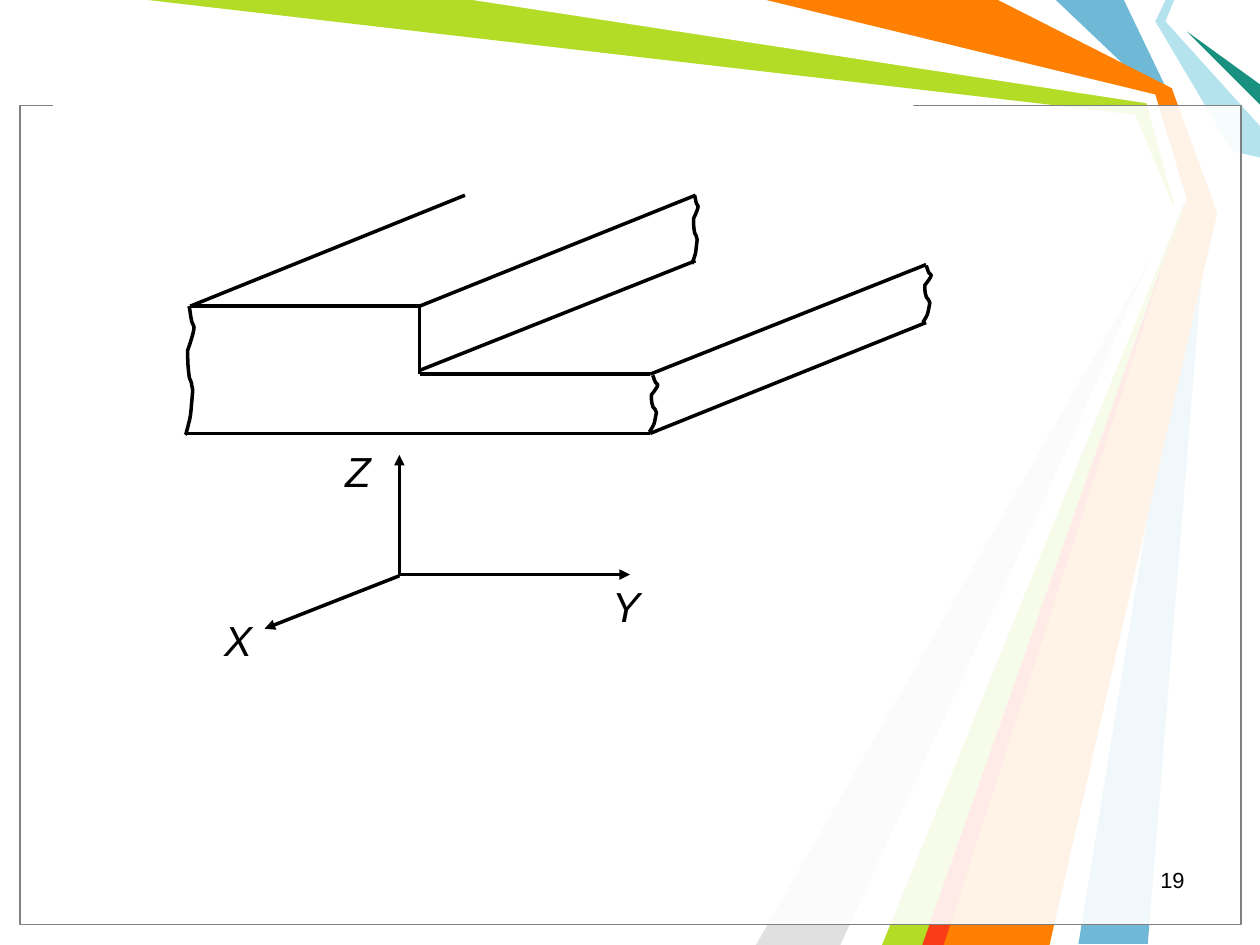
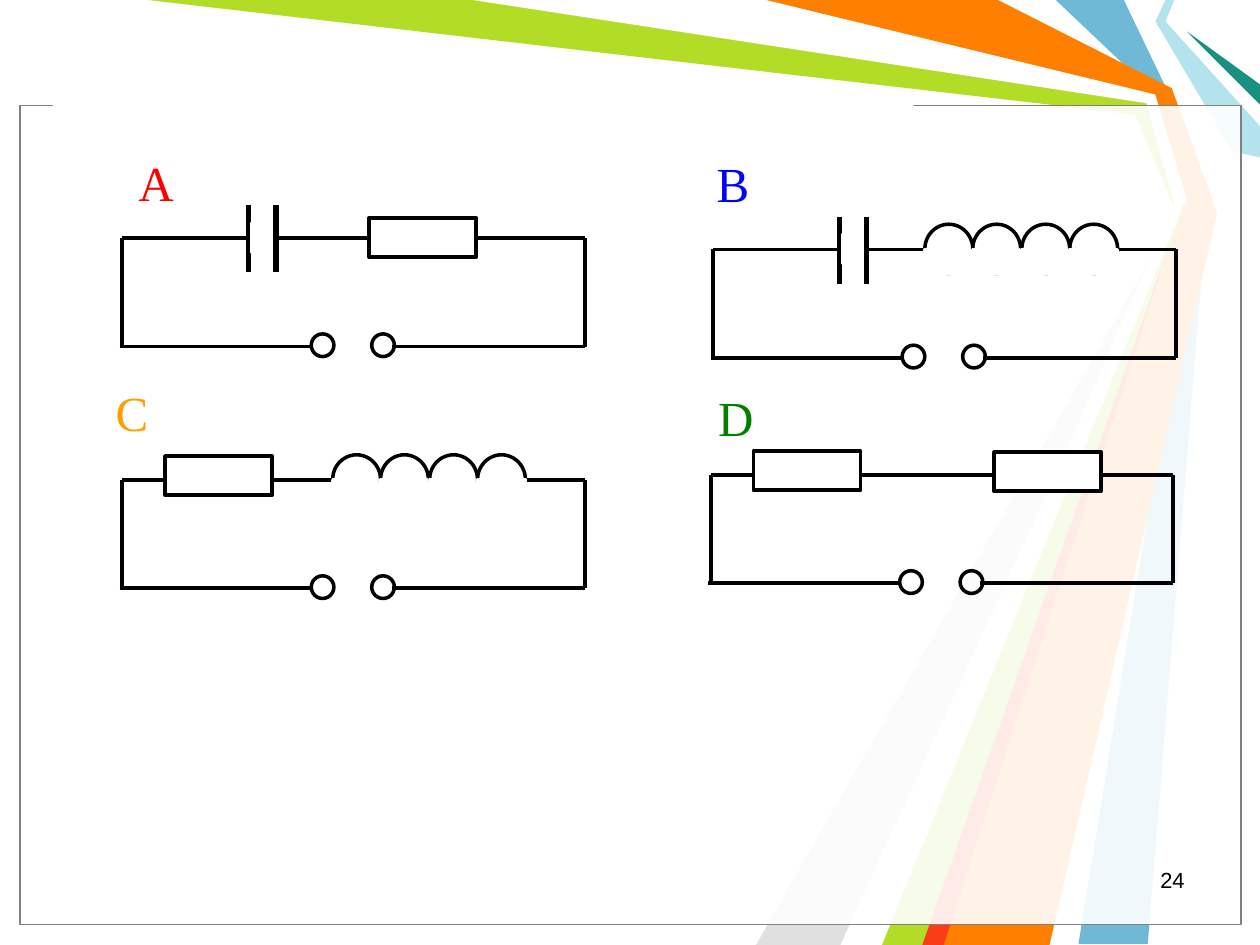
from typing import NamedTuple

import lxml.etree
import pptx
import pptx.dml.color
import pptx.enum.shapes
import pptx.enum.text
import pptx.oxml.ns
import pptx.util

PX = 9144  # EMU; 100 px to the inch
WIDTH, HEIGHT = 1000, 750

COLOURS = {
    "white": "FFFFFF", "black": "000000", "frame": "808080",
    "blue": "6FB9D7", "lime": "B3DC27", "grey": "E0E0E0", "ice": "B4E3EE",
    "teal": "189180", "orange": "FF7F00", "scarlet": "F93D17",
    "label A": "FF0000", "label B": "0000FF",
    "label C": "FF9E00", "label D": "008000",
}
RECT = pptx.enum.shapes.MSO_SHAPE.RECTANGLE
OVAL = pptx.enum.shapes.MSO_SHAPE.OVAL
LEFT = pptx.enum.text.PP_ALIGN.LEFT
RIGHT = pptx.enum.text.PP_ALIGN.RIGHT


class Band(NamedTuple):
    colour: str
    points: list[tuple[int, int]]


class Line(NamedTuple):
    x1: int
    y1: int
    x2: int
    y2: int


class Box(NamedTuple):
    x: int
    y: int
    w: int
    h: int


class Component(NamedTuple):
    kind: str
    x: int
    y: int = 0


class Circuit(NamedTuple):
    label: str
    colour: str
    label_box: Box
    x: int
    y: int
    components: list[Component]


BANDS = [
    Band("blue", [(892, 0), (929, 77), (958, 167), (911, 749), (856, 749),
                  (950, 167), (917, 75), (838, 0)]),
    Band("lime", [(117, 0), (383, 0), (914, 78), (942, 169), (742, 750),
                  (692, 750), (935, 173), (901, 91)]),
    Band("grey", [(667, 750), (927, 181), (600, 750)]),
    Band("white", [(375, 0), (910, 82), (932, 162), (675, 750), (700, 750),
                   (941, 158), (917, 75), (600, 0)]),
    Band("ice", [(925, 0), (917, 17), (978, 120), (1000, 125), (1000, 100),
                 (925, 17), (932, 0)]),
    Band("teal", [(1000, 83), (942, 25), (1000, 67)]),
    Band("orange", [(608, 0), (792, 0), (930, 70), (966, 169), (833, 750),
                    (733, 750), (942, 158), (917, 75)]),
    Band("scarlet", [(732, 750), (932, 183), (749, 750)]),
]

STEP_EDGES = [
    Line(151, 243, 333, 243), Line(147, 344, 516, 344),
    Line(333, 297, 516, 297), Line(333, 243, 333, 297),
    Line(151, 243, 369, 155), Line(333, 243, 552, 155),
    Line(516, 297, 735, 210), Line(333, 294, 552, 207),
    Line(516, 344, 735, 256),
]
# Chained cubic curves on a 7 by 102 grid: a start, then three points a curve.
BREAK_GRID = (7, 102)
BREAK_CURVE = [
    (3, 0), (4, 3), (4, 7), (5, 11), (5, 13), (7, 15), (7, 17),
    (7, 21), (3, 32), (2, 35), (2, 41), (2, 48), (3, 54),
    (3, 57), (4, 58), (5, 61), (5, 63), (6, 65), (6, 67),
    (4, 89), (5, 85), (1, 100), (1, 100), (1, 101), (0, 102),
]
BREAKS = [Box(515, 298, 7, 45), Box(732, 211, 7, 45),
          Box(549, 155, 5, 54), Box(147, 243, 7, 102)]
AXES = [Line(317, 456, 500, 456), Line(317, 456, 317, 361),
        Line(317, 457, 210, 499)]
AXIS_LABELS = {"X": Box(168, 483, 42, 50), "Z": Box(264, 349, 40, 50),
               "Y": Box(476, 456, 42, 50)}

CIRCUITS = [
    Circuit("А", "label A", Box(100, 116, 48, 57), 97, 189,
            [Component("capacitor", 100), Component("resistor", 196, -16)]),
    Circuit("B", "label B", Box(559, 117, 46, 57), 566, 198,
            [Component("capacitor", 100), Component("inductor", 168, -20)]),
    Circuit("C", "label C", Box(82, 299, 46, 57), 97, 381,
            [Component("inductor", 167, -20), Component("resistor", 34, -19)]),
    Circuit("D", "label D", Box(560, 303, 48, 57), 564, 377,
            [Component("resistor", 34, -19), Component("resistor", 225, -18)]),
]
TOP_WIRES = [Line(0, 0, 245, 0), Line(122, 0, 367, 0)]
LOOP_WIRES = [Line(367, 86, 367, 0), Line(0, 86, 0, 0),
              Line(214, 86, 367, 86), Line(-2, 86, 151, 86)]
TERMINALS = [Box(150, 76, 18, 18), Box(198, 76, 18, 18)]
COIL_TURNS, COIL_SPAN = 4, 115


def rgb(name: str) -> pptx.dml.color.RGBColor:
    return pptx.dml.color.RGBColor.from_string(COLOURS[name])


def paint(sp, fill: str | None, line: str | None, weight: float = 2) -> None:
    sp.shadow.inherit = False
    if fill:
        sp.fill.solid()
        sp.fill.fore_color.rgb = rgb(fill)
    else:
        sp.fill.background()
    if line:
        sp.line.color.rgb = rgb(line)
        sp.line.width = pptx.util.Pt(weight)
    else:
        sp.line.fill.background()


def add_box(shapes, kind, box: Box, fill: str | None = None,
            line: str | None = None, weight: float = 2):
    sp = shapes.add_shape(kind, *(v * PX for v in box))
    paint(sp, fill, line, weight)
    return sp


def add_outline(shapes, points, closed: bool):
    emu = [(round(x * PX), round(y * PX)) for x, y in points]
    builder = shapes.build_freeform(*emu[0])
    builder.add_line_segments(emu[1:], close=closed)
    return builder.convert_to_shape()


def add_line(shapes, line: Line, weight: float = 2, arrow: bool = False,
             dx: int = 0, dy: int = 0) -> None:
    ends = (line.x1 + dx, line.y1 + dy, line.x2 + dx, line.y2 + dy)
    cx = shapes.add_connector(pptx.enum.shapes.MSO_CONNECTOR.STRAIGHT,
                              *(v * PX for v in ends))
    cx.line.color.rgb = rgb("black")
    cx.line.width = pptx.util.Pt(weight)
    qn = pptx.oxml.ns.qn
    if arrow:
        ln = cx._element.spPr.find(qn("a:ln"))
        lxml.etree.SubElement(ln, qn("a:tailEnd"), type="triangle")
    lxml.etree.SubElement(cx._element.spPr, qn("a:effectLst"))


def add_text(shapes, text: str, box: Box, *, size: float, font: str = "Arial",
             colour: str = "black", italic: bool = False, align=LEFT,
             spacing: float = 1.0, wrap: bool = False) -> None:
    tf = shapes.add_textbox(*(v * PX for v in box)).text_frame
    tf.word_wrap = wrap
    if not wrap:
        tf.auto_size = pptx.enum.text.MSO_AUTO_SIZE.SHAPE_TO_FIT_TEXT
    p = tf.paragraphs[0]
    p.alignment = align
    p.line_spacing = spacing
    r = p.add_run()
    r.text = text
    r.font.size = pptx.util.Pt(size)
    r.font.name = font
    r.font.italic = italic
    r.font.color.rgb = rgb(colour)


def add_base_slide(prs, number: str):
    """Add a slide with the coloured bands, the frame and the page number."""
    s = prs.slides.add_slide(prs.slide_layouts[6])
    for band in BANDS:
        paint(add_outline(s.shapes, band.points, True), band.colour, None)
    frame = add_box(s.shapes, RECT, Box(16, 84, 969, 650), "white", "frame", 0.75)
    qn = pptx.oxml.ns.qn
    fill = frame._element.spPr.find(qn("a:solidFill"))
    lxml.etree.SubElement(fill[0], qn("a:alpha"), val="90000")
    add_box(s.shapes, RECT, Box(42, 74, 683, 17), "white")
    add_text(s.shapes, number, Box(717, 687, 233, 33), size=12.5,
             align=RIGHT, spacing=0.8, wrap=True)
    return s


def break_points(box: Box, steps: int = 6) -> list[tuple[float, float]]:
    """Sample the break curve, stretched to fill the box."""
    pts = [(box.x + x * box.w / BREAK_GRID[0], box.y + y * box.h / BREAK_GRID[1])
           for x, y in BREAK_CURVE]
    sampled = [pts[0]]
    for i in range(0, len(pts) - 1, 3):
        for t in (k / steps for k in range(1, steps + 1)):
            weights = ((1 - t) ** 3, 3 * t * (1 - t) ** 2,
                       3 * t * t * (1 - t), t ** 3)
            x, y = (sum(w * pt[axis] for w, pt in zip(weights, pts[i:i + 4]))
                    for axis in (0, 1))
            sampled.append((x, y))
    return sampled


def add_resistor(shapes, x: int, y: int) -> None:
    add_box(shapes, RECT, Box(x, y, 85, 31), "white", "black", 2.25)


def add_capacitor(shapes, x: int, y: int) -> None:
    plates = shapes.add_group_shape().shapes
    for plate_x in (x, x + 22):
        add_line(plates, Line(plate_x, y - 26, plate_x, y + 27), 3)
    add_box(shapes, RECT, Box(x + 3, y - 12, 15, 23), "white", "white")


def add_inductor(shapes, x: int, y: int) -> None:
    """Draw a row of circles whose lower halves are covered."""
    coil = shapes.add_group_shape().shapes
    for i in range(COIL_TURNS):
        turn_x = x + round(i * COIL_SPAN / (COIL_TURNS - 1))
        add_box(coil, OVAL, Box(turn_x, y, 38, 39), line="black")
        add_box(coil, RECT, Box(turn_x, y + 20, 38, 19), "white", "white")


DRAW_COMPONENT = {"resistor": add_resistor, "capacitor": add_capacitor,
                  "inductor": add_inductor}


def add_circuit(shapes, c: Circuit) -> None:
    for wire in TOP_WIRES:
        add_line(shapes, wire, 2.25, dx=c.x, dy=c.y)
    for item in c.components:
        DRAW_COMPONENT[item.kind](shapes, c.x + item.x, c.y + item.y)
    for t in TERMINALS:
        add_box(shapes, OVAL, Box(c.x + t.x, c.y + t.y, t.w, t.h), line="black")
    for wire in LOOP_WIRES:
        add_line(shapes, wire, 2.25, dx=c.x, dy=c.y)
    add_text(shapes, c.label, c.label_box, size=28, font="Times New Roman",
             colour=c.colour)


def build_step_slide(prs) -> None:
    shapes = add_base_slide(prs, "19").shapes
    for edge in STEP_EDGES:
        add_line(shapes, edge)
    for box in BREAKS:
        paint(add_outline(shapes, break_points(box), False), None, "black")
    for axis in AXES:
        add_line(shapes, axis, arrow=True)
    for name, box in AXIS_LABELS.items():
        add_text(shapes, name, box, size=24, italic=True)


def build_circuit_slide(prs) -> None:
    shapes = add_base_slide(prs, "24").shapes
    for circuit in CIRCUITS:
        add_circuit(shapes, circuit)


def main() -> None:
    prs = pptx.Presentation()
    prs.slide_width, prs.slide_height = WIDTH * PX, HEIGHT * PX
    build_step_slide(prs)
    build_circuit_slide(prs)
    prs.save("out.pptx")


if __name__ == "__main__":
    main()
